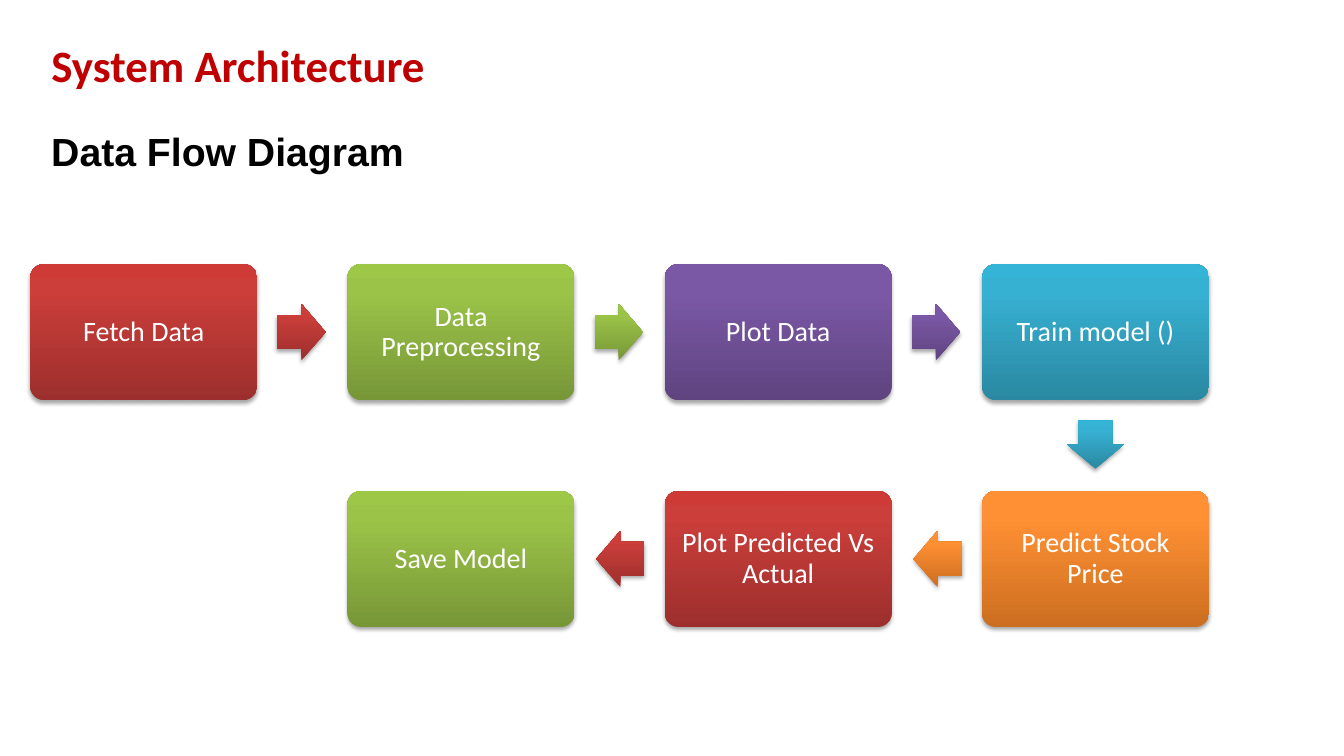
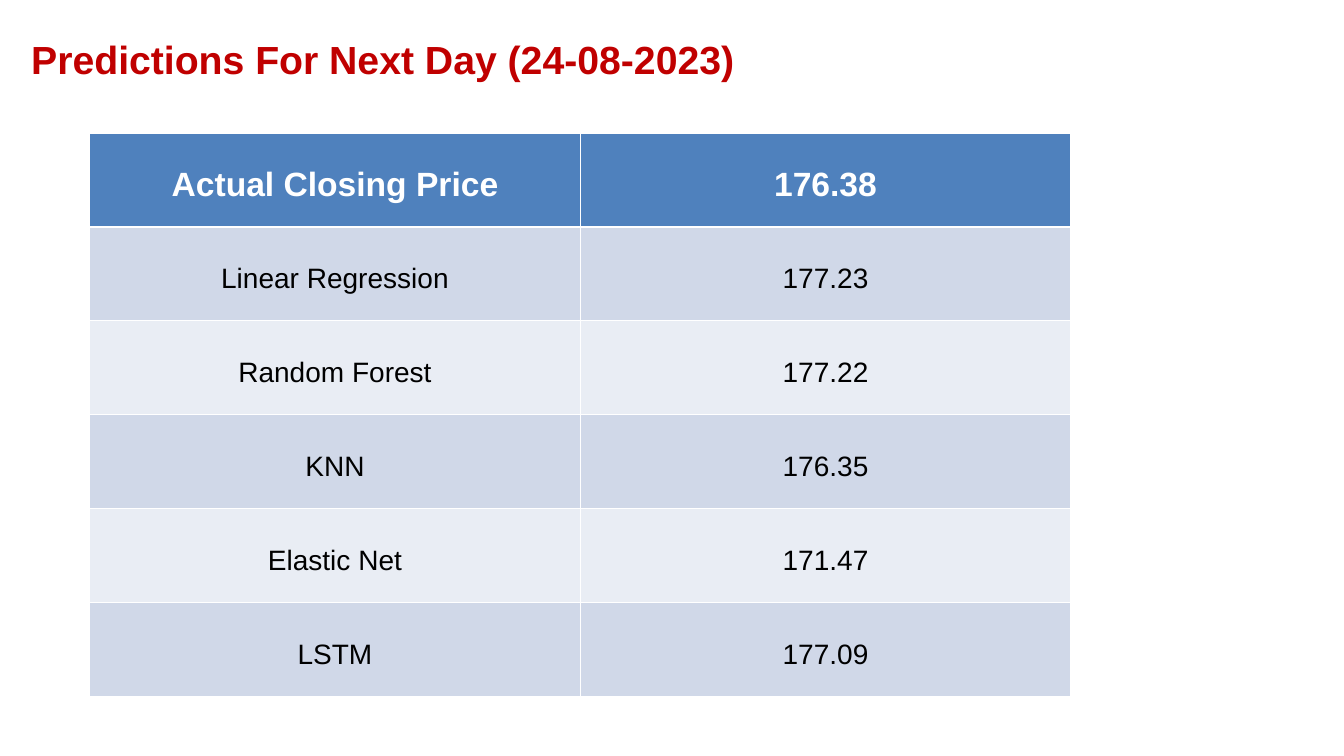
from lxml import etree
from pptx import Presentation
from pptx.dml.color import RGBColor
from pptx.enum.shapes import MSO_SHAPE
from pptx.enum.text import MSO_ANCHOR, MSO_AUTO_SIZE, PP_ALIGN
from pptx.oxml import parse_xml
from pptx.util import Inches, Pt

LEFT, CENTER = PP_ALIGN.LEFT, PP_ALIGN.CENTER
TOP, MIDDLE = MSO_ANCHOR.TOP, MSO_ANCHOR.MIDDLE
FIXED = MSO_AUTO_SIZE.NONE
ROUND = MSO_SHAPE.ROUNDED_RECTANGLE
EAST, WEST, DOWN = (MSO_SHAPE.RIGHT_ARROW, MSO_SHAPE.LEFT_ARROW,
                    MSO_SHAPE.DOWN_ARROW)
A = "http://schemas.openxmlformats.org/drawingml/2006/main"

TITLE, BLACK, WHITE = "C00000", "000000", "FFFFFF"
HEAD, BANDS = "4F81BD", ("D0D8E8", "E9EDF4")
# Gradient stops at 0, 80 and 100 percent, from bottom to top
RED = ("9C2F2D", "CB3E3A", "CE3B37")
GREEN = ("779737", "9BC348", "9DC746")
PURPLE = ("5F4480", "7B58A6", "7C57A8")
BLUE = ("2A88A2", "37B1D2", "34B4D6")
ORANGE = ("CC6E20", "FF9034", "FF9136")

# Label, column, row, colours, arrow to the next step
STEPS = (
    ("Fetch Data", 0, 0, RED, EAST),
    ("Data Preprocessing", 1, 0, GREEN, EAST),
    ("Plot Data", 2, 0, PURPLE, EAST),
    ("Train model ()", 3, 0, BLUE, DOWN),
    ("Predict Stock Price", 3, 1, ORANGE, WEST),
    ("Plot Predicted Vs Actual", 2, 1, RED, WEST),
    ("Save Model", 1, 1, GREEN, None),
)
PRICES = (
    ("Actual Closing Price", "176.38"),
    ("Linear Regression", "177.23"),
    ("Random Forest", "177.22"),
    ("KNN", "176.35"),
    ("Elastic Net", "171.47"),
    ("LSTM", "177.09"),
)


def color(code):
    """Turn a hex string into a colour."""
    return RGBColor.from_string(code)


def write(frame, text, size, font, code, bold=False, align=LEFT):
    """Put one formatted run into the first paragraph of a frame."""
    para = frame.paragraphs[0]
    para.alignment = align
    run = para.add_run()
    run.text = text
    run.font.size, run.font.name, run.font.bold = Pt(size), font, bold
    run.font.color.rgb = color(code)
    return para


def heading(shape, box, text, size, font, code):
    """Place a bold heading in a title placeholder or text box."""
    shape.left, shape.top, shape.width, shape.height = map(Inches, box)
    frame = shape.text_frame
    frame.word_wrap, frame.auto_size = True, FIXED
    frame.vertical_anchor = TOP
    write(frame, text, size, font, code, True)


def glossy(slide, kind, box, shades, adjust):
    """Add a preset shape with a vertical gradient and a soft shadow."""
    shape = slide.shapes.add_shape(kind, *map(Inches, box))
    for index, value in enumerate(adjust):
        shape.adjustments[index] = value
    shape.line.fill.background()
    shape.shadow.inherit = False
    stops = "".join(
        f'<a:gs pos="{pos}"><a:srgbClr val="{code}"/></a:gs>'
        for pos, code in zip((0, 80000, 100000), shades))
    props = shape.element.spPr
    props.find(f"{{{A}}}prstGeom").addnext(parse_xml(
        f'<a:gradFill xmlns:a="{A}" rotWithShape="1"><a:gsLst>{stops}'
        '</a:gsLst><a:lin ang="16200000" scaled="0"/></a:gradFill>'))
    cast = etree.SubElement(
        props.find(f"{{{A}}}effectLst"), f"{{{A}}}outerShdw",
        blurRad=str(Pt(3.1)), dist=str(Pt(1.8)), dir="5400000",
        rotWithShape="0")
    tint = etree.SubElement(cast, f"{{{A}}}srgbClr", val=BLACK)
    etree.SubElement(tint, f"{{{A}}}alpha", val="35000")
    return shape


def arrow(slide, kind, card, shades):
    """Point an arrow away from one side of a card."""
    left, top, width, height = card
    gap, long, wide = 0.2, 0.48, 0.56
    if kind == DOWN:
        box = (left + (width - wide) / 2, top + height + gap, wide, long)
    else:
        start = left + width + gap if kind == EAST else left - gap - long
        box = (start, top + (height - wide) / 2, long, wide)
    glossy(slide, kind, box, shades, (0.6, 0.5))


def flow(slide, box):
    """Lay out the steps on a grid of four columns and two rows."""
    left, top, width, height = box
    wide, high = 2.25, 1.35
    across, down = (width - wide) / 3, height - high
    for label, col, row, shades, kind in STEPS:
        card = (left + col * across, top + row * down, wide, high)
        frame = glossy(slide, ROUND, card, shades, (0.1,)).text_frame
        frame.word_wrap, frame.vertical_anchor = True, MIDDLE
        frame.margin_left = frame.margin_right = Inches(0.08)
        frame.margin_top = frame.margin_bottom = Inches(0.08)
        para = write(frame, label, 20, "Calibri", WHITE, align=CENTER)
        para.line_spacing = 0.9
        if kind:
            arrow(slide, kind, card, shades)


def prices(slide, box):
    """Fill a table with the actual price and the predictions."""
    table = slide.shapes.add_table(
        len(PRICES), 2, *map(Inches, box)).table
    for row, values in enumerate(PRICES):
        first = row == 0
        fill = HEAD if first else BANDS[(row - 1) % 2]
        for col, text in enumerate(values):
            cell = table.cell(row, col)
            cell.fill.solid()
            cell.fill.fore_color.rgb = color(fill)
            cell.vertical_anchor = MIDDLE
            cell.margin_top = Inches(0.15)
            write(cell.text_frame, text, 24 if first else 20, "Arial",
                  WHITE if first else BLACK, first, CENTER)


def start(deck, box, text, size, font):
    """Add a slide with the shared red title."""
    slide = deck.slides.add_slide(deck.slide_layouts[5])
    heading(slide.shapes.title, box, text, size, font, TITLE)
    return slide


def design(deck):
    """Build the data flow slide."""
    slide = start(deck, (0.41, 0.32, 4.78, 0.64),
                  "System Architecture", 32, "Calibri")
    box = (0.41, 1.21, 4.78, 0.57)
    label = slide.shapes.add_textbox(*map(Inches, box))
    heading(label, box, "Data Flow Diagram", 28, "Arial", BLACK)
    flow(slide, (0.3, 2.62, 11.69, 3.6))


def results(deck):
    """Build the predictions slide."""
    slide = start(deck, (0.21, 0.3, 7.93, 0.57),
                  "Predictions For Next Day (24-08-2023)", 28, "Arial")
    prices(slide, (0.89, 1.32, 9.73, 5.59))


def main():
    """Build and save the deck."""
    deck = Presentation()
    deck.slide_width, deck.slide_height = Inches(13.33), Inches(7.5)
    design(deck)
    results(deck)
    deck.save("out.pptx")


main()
